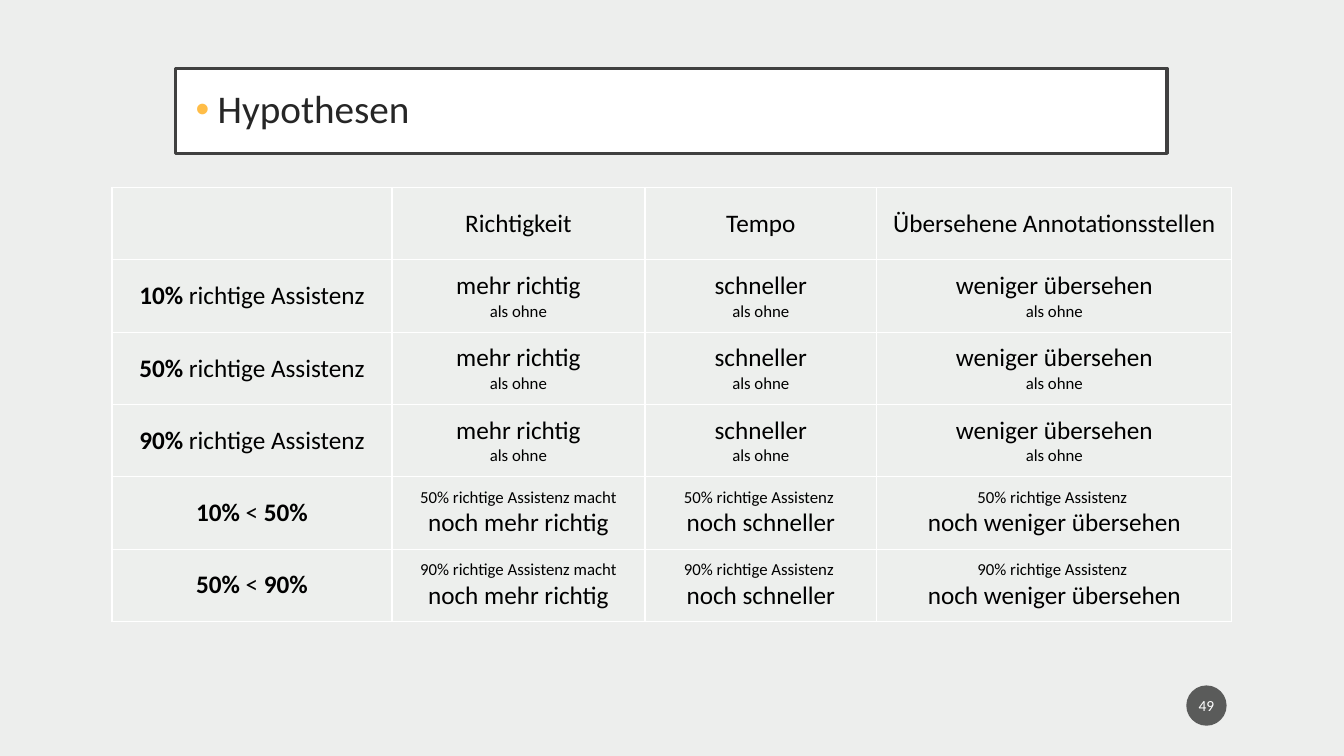
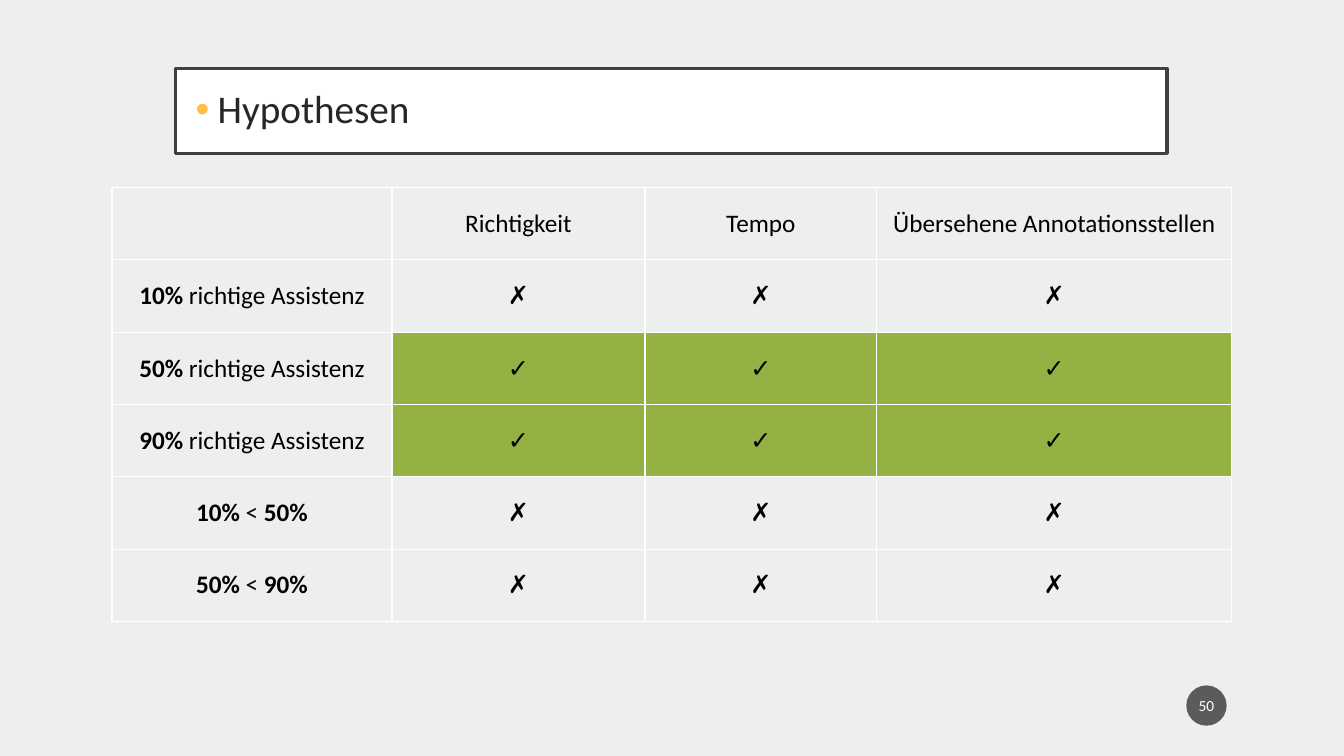
from dataclasses import dataclass

from lxml import etree
from pptx import Presentation
from pptx import util as u
from pptx.dml.color import RGBColor
from pptx.enum import shapes, text
from pptx.oxml import ns


@dataclass(frozen=True)
class Theme:
    """Colours, type sizes and font of the deck."""

    font: str = "Calibri"
    background: str = "EDEEED"
    panel: str = "FFFFFF"
    frame: str = "404040"
    heading: str = "262626"
    bullet: str = "FFBD47"
    ink: str = "000000"
    cell: str = "EDEFED"
    confirmed: str = "94B243"
    rule: str = "FFFFFF"
    badge: str = "1D1D1D"
    badge_opacity: int = 70
    badge_ink: str = "FFFFFF"
    title_size: int = 28
    body_size: int = 18
    note_size: int = 12
    badge_size: int = 11
    frame_width: float = 2.5
    rule_width: float = 1


THEME = Theme()
UNIT = u.Pt(10)
COLUMNS, ROWS = 96, 54
TITLE_BOX = (12.53, 4.9, 70.85, 6.05)
TABLE_BOX = (8, 13.4, 80, 31)
BADGE_BOX = (84.74, 48.96, 2.88, 2.88)
TABLE_COLUMNS = (20, 18.07, 16.56, 25.37)

BODY = {"size": u.Pt(THEME.body_size), "bold": False}
STRONG = {"size": u.Pt(THEME.body_size), "bold": True}
NOTE = {"size": u.Pt(THEME.note_size), "bold": False}

CRITERIA = ("Richtigkeit", "Tempo", "Übersehene Annotationsstellen")
CLAIMS = ("mehr richtig", "schneller", "weniger übersehen")
LEVELS = ("10%", "50%", "90%")
STEPS = tuple(zip(LEVELS, LEVELS[1:]))
CROSS, CHECK = "✗", "✓"
VERDICTS = (CROSS, CHECK, CHECK, CROSS, CROSS)


def grid(*lengths):
    """Turn grid units into lengths."""
    return [u.Emu(round(length * UNIT)) for length in lengths]


def apply(target, values):
    """Set each attribute of the target from a dict."""
    for name, value in values.items():
        setattr(target, name, value)


def paint(fill, colour):
    """Give a fill one solid colour."""
    fill.solid()
    fill.fore_color.rgb = RGBColor.from_string(colour)


def add_xml(parent, tag, **attributes):
    """Append a DrawingML element."""
    return etree.SubElement(parent, ns.qn(tag), attributes)


def write(paragraph, wording, colour, **style):
    """Add one formatted run to a paragraph."""
    run = paragraph.add_run()
    run.text = wording
    apply(run.font, {"name": THEME.font, **style})
    run.font.color.rgb = RGBColor.from_string(colour)


def add_title(slide, box, wording):
    """Place the framed title with its bullet."""
    title = slide.shapes.title
    apply(title, dict(zip(("left", "top", "width", "height"), grid(*box))))
    paint(title.fill, THEME.panel)
    paint(title.line.fill, THEME.frame)
    title.line.width = u.Pt(THEME.frame_width)
    inset = u.Inches(0.2)
    apply(title.text_frame, {
        "margin_left": inset, "margin_right": inset,
        "margin_top": inset, "margin_bottom": inset,
        "word_wrap": True, "auto_size": text.MSO_AUTO_SIZE.NONE,
        "vertical_anchor": text.MSO_ANCHOR.MIDDLE,
    })
    paragraph = title.text_frame.paragraphs[0]
    apply(paragraph, {"alignment": text.PP_ALIGN.LEFT, "line_spacing": 0.9})
    properties = paragraph._p.get_or_add_pPr()
    indent = u.Inches(0.22)
    properties.set("marL", str(indent))
    properties.set("indent", str(-indent))
    add_xml(add_xml(properties, "a:buClr"), "a:srgbClr", val=THEME.bullet)
    add_xml(properties, "a:buFont", typeface="Arial")
    add_xml(properties, "a:buChar", char="•")
    write(paragraph, wording, THEME.heading, size=u.Pt(THEME.title_size))


def add_badge(slide, box, number):
    """Place the round page number."""
    badge = slide.shapes.add_shape(shapes.MSO_SHAPE.OVAL, *grid(*box))
    badge.shadow.inherit = False
    paint(badge.fill, THEME.badge)
    colour = badge.fill._xPr.find(".//" + ns.qn("a:srgbClr"))
    add_xml(colour, "a:alpha", val=str(THEME.badge_opacity * 1000))
    badge.line.fill.background()
    apply(badge.text_frame, {
        "margin_left": u.Inches(0.02), "margin_right": u.Inches(0.02),
        "vertical_anchor": text.MSO_ANCHOR.MIDDLE,
    })
    paragraph = badge.text_frame.paragraphs[0]
    paragraph.alignment = text.PP_ALIGN.CENTER
    write(paragraph, str(number), THEME.badge_ink, size=u.Pt(THEME.badge_size))


def fill_cell(cell, paragraphs, colour):
    """Write, paint and outline one table cell."""
    cell.vertical_anchor = text.MSO_ANCHOR.MIDDLE
    properties = cell._tc.get_or_add_tcPr()
    for side in ("a:lnL", "a:lnR", "a:lnT", "a:lnB"):
        line = add_xml(properties, side, w=str(u.Pt(THEME.rule_width)))
        add_xml(add_xml(line, "a:solidFill"), "a:srgbClr", val=THEME.rule)
    paint(cell.fill, colour)
    for index, runs in enumerate(paragraphs):
        frame = cell.text_frame
        paragraph = frame.add_paragraph() if index else frame.paragraphs[0]
        paragraph.alignment = text.PP_ALIGN.CENTER
        for wording, style in runs:
            write(paragraph, wording, THEME.ink, **style)


def add_hypothesis_table(slide, box, results):
    """Place the grid of criteria, assistance levels and results."""
    header = [[]] + [[[(name, BODY)]] for name in CRITERIA]
    labels = [[[(level, STRONG), (" richtige Assistenz", BODY)]] for level in LEVELS]
    labels += [[[(low, STRONG), (" < ", BODY), (high, STRONG)]] for low, high in STEPS]
    content = [header] + [[label, *row] for label, row in zip(labels, results)]
    table = slide.shapes.add_table(len(content), len(header), *grid(*box)).table
    apply(table, {"first_row": False, "horz_banding": False})
    for column, width in zip(table.columns, grid(*TABLE_COLUMNS)):
        column.width = width
    for row, entries in zip(table.rows, content):
        row.height = grid(box[3] / len(content))[0]
        for cell, paragraphs in zip(row.cells, entries):
            confirmed = paragraphs == [[(CHECK, BODY)]]
            fill_cell(cell, paragraphs, THEME.confirmed if confirmed else THEME.cell)


def expected_results():
    """Return the wording of each hypothesis."""
    against_none = [[[(claim, BODY)], [("als ohne", NOTE)]] for claim in CLAIMS]
    results = [against_none for _ in LEVELS]
    for _, high in STEPS:
        lead = f"{high} richtige Assistenz "
        first, *others = [f"noch {claim}" for claim in CLAIMS]
        results.append(
            [[[(lead + "macht ", NOTE), (first, BODY)]]]
            + [[[(lead, NOTE)], [(claim, BODY)]] for claim in others]
        )
    return results


def observed_results():
    """Return the verdict on each hypothesis."""
    return [[[[(verdict, BODY)]] for _ in CRITERIA] for verdict in VERDICTS]


def add_hypothesis_slide(deck, number, results):
    """Add one slide with title, table and page number."""
    slide = deck.slides.add_slide(deck.slide_layouts.get_by_name("Title Only"))
    add_badge(slide, BADGE_BOX, number)
    add_title(slide, TITLE_BOX, "Hypothesen")
    add_hypothesis_table(slide, TABLE_BOX, results)


def main():
    """Build and save the deck."""
    deck = Presentation()
    deck.slide_width, deck.slide_height = grid(COLUMNS, ROWS)
    paint(deck.slide_master.background.fill, THEME.background)
    for number, results in enumerate((expected_results(), observed_results()), 49):
        add_hypothesis_slide(deck, number, results)
    deck.save("out.pptx")


if __name__ == "__main__":
    main()
